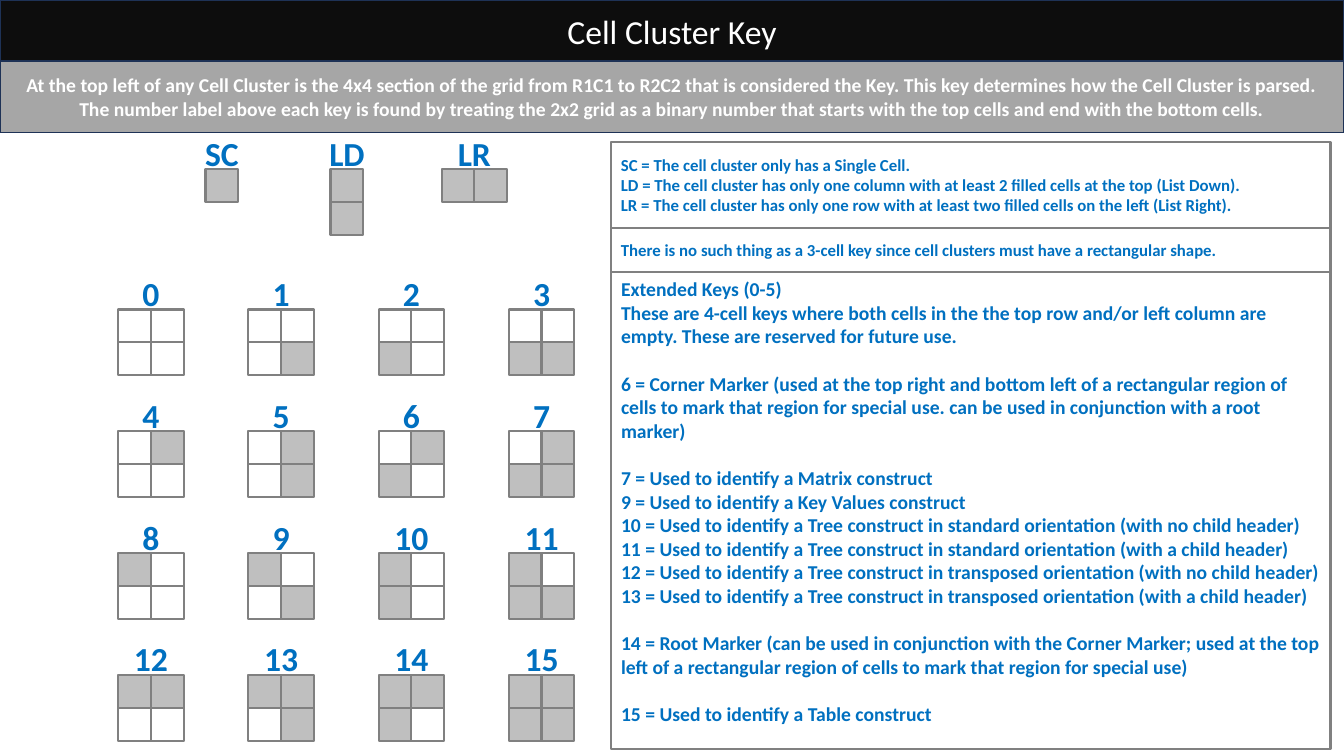
from pptx import Presentation
from pptx.dml.color import RGBColor
from pptx.enum.shapes import MSO_SHAPE as Geo
from pptx.enum.text import MSO_ANCHOR as Anchor, MSO_AUTO_SIZE as Fit, PP_ALIGN as Align
from pptx.util import Pt

BLUE, GRAY, FILL, WHITE, NAVY = "0070C0", "808080", "BFBFBF", "FFFFFF", "1E3256"
CELL = 23.45
TITLE = "Cell Cluster Key"
INTRO = [
    "At the top left of any Cell Cluster is the 4x4 section of the grid from R1C1 to R2C2 "
    "that is considered the Key. This key determines how the Cell Cluster is parsed.",
    "The number label above each key is found by treating the 2x2 grid as a binary number "
    "that starts with the top cells and end with the bottom cells.",
]
SHORT = [
    "SC = The cell cluster only has a Single Cell.",
    "LD = The cell cluster has only one column with at least 2 filled cells at the top (List Down).",
    "LR = The cell cluster has only one row with at least two filled cells on the left (List Right).",
]
NOTE = "There is no such thing as a 3-cell key since cell clusters must have a rectangular shape."
LONG = [
    ["Extended Keys (0-5)",
     "These are 4-cell keys where both cells in the the top row and/or left column are empty. "
     "These are reserved for future use."],
    ["6 = Corner Marker (used at the top right and bottom left of a rectangular region of cells "
     "to mark that region for special use. can be used in conjunction with a root marker)"],
    ["7 = Used to identify a Matrix construct",
     "9 = Used to identify a Key Values construct",
     "10 = Used to identify a Tree construct in standard orientation (with no child header)",
     "11 = Used to identify a Tree construct in standard orientation (with a child header)",
     "12 = Used to identify a Tree construct in transposed orientation (with no child header)",
     "13 = Used to identify a Tree construct in transposed orientation (with a child header)"],
    ["14 = Root Marker (can be used in conjunction with the Corner Marker; used at the top left "
     "of a rectangular region of cells to mark that region for special use)"],
    ["15 = Used to identify a Table construct"],
]


def paint(part, tone):
    """Give a fill, line or font a solid hex colour."""
    if hasattr(part, "solid"):
        part.solid()
        part = part.fore_color
    else:
        part = part.color
    part.rgb = RGBColor.from_string(tone)


def place(shape, box):
    """Move a shape to a box given in points."""
    for name, val in zip(("left", "top", "width", "height"), box):
        setattr(shape, name, Pt(val))


def dress(shape, fill, edge=None, wide=1.5):
    """Set the fill and outline of a shape."""
    paint(shape.fill, fill)
    if edge:
        paint(shape.line, edge)
        shape.line.width = Pt(wide)
    else:
        shape.line.fill.background()


def rect(shapes, box, fill, edge=None, wide=1.5):
    """Add a flat rectangle."""
    shape = shapes.add_shape(Geo.RECTANGLE, *map(Pt, box))
    shape.shadow.inherit = False
    dress(shape, fill, edge, wide)
    return shape


def write(shape, groups, size, tone, bold=True, align=Align.LEFT, anchor=Anchor.MIDDLE):
    """Write groups of paragraphs with a line of space between groups."""
    frame = shape.text_frame
    form = {"word_wrap": True, "auto_size": Fit.NONE, "vertical_anchor": anchor}
    for name, val in form.items():
        setattr(frame, name, val)
    lines = [(text, g > 0 and i == 0) for g, group in enumerate(groups)
             for i, text in enumerate(group)]
    for n, (text, gap) in enumerate(lines):
        para = frame.add_paragraph() if n else frame.paragraphs[0]
        form = {"alignment": align, "space_before": Pt(size * 1.22 if gap else 0)}
        for name, val in form.items():
            setattr(para, name, val)
        run = para.add_run()
        run.text = text
        for name, val in {"name": "Calibri", "size": Pt(size), "bold": bold}.items():
            setattr(run.font, name, val)
        paint(run.font, tone)


def plain(shape):
    """Remove the bullets and indents of a list."""
    for para in shape.text_frame.paragraphs:
        props = para._p.get_or_add_pPr()
        for name in ("marL", "indent"):
            props.set(name, "0")
        tag = "{http://schemas.openxmlformats.org/drawingml/2006/main}buNone"
        props.append(props.makeelement(tag, {}))


def header(slide, x, y, w):
    """Build the title bar and the banner below it."""
    title = slide.shapes.title
    place(title, (x, y, w, 43.9))
    dress(title, "0D0D0D", NAVY, 1)
    write(title, [[TITLE]], 24, WHITE, False, Align.CENTER)
    intro = rect(slide.shapes, (x, y + 43.5, w, 51), "A6A6A6", NAVY, 1)
    write(intro, [INTRO], 14, WHITE, align=Align.CENTER)


def key(slide, label, rows, x, y):
    """Build one key: its label centred above rows of cells."""
    mid = x + len(rows[0]) * CELL / 2
    tag = rect(slide.shapes, (mid - 23.4, y - CELL, 46.8, CELL), WHITE)
    write(tag, [[label]], 24, BLUE, align=Align.CENTER)
    tag.text_frame.word_wrap = False
    shapes = slide.shapes.add_group_shape().shapes
    for r, row in enumerate(rows):
        for c, bit in enumerate(row):
            box = (x + c * CELL, y + r * CELL, CELL, CELL)
            rect(shapes, box, FILL if bit == "1" else WHITE, GRAY)


def keys(slide, x, y):
    """Build the named keys and the grid of numbered keys."""
    for label, rows, left in (("SC", ["1"], 62.4), ("LD", ["1", "1"], 151.7),
                              ("LR", ["11"], 231)):
        key(slide, label, rows, x + left, y)
    for num in range(16):
        row, col = divmod(num, 4)
        bits = f"{num:04b}"
        key(slide, str(num), [bits[:2], bits[2:]], x + col * 93, y + 100.3 + row * 87)


def legend(slide, x, y, w):
    """Build the three stacked panels that explain the keys."""
    body = slide.placeholders[1]
    place(body, (x, y + 92.9, w, 340.6))
    dress(body, WHITE, GRAY)
    write(body, LONG, 14, BLUE, anchor=Anchor.TOP)
    plain(body)
    for lines, top, high in ((SHORT, 0, 61.2), ([NOTE], 61.2, 31.7)):
        panel = rect(slide.shapes, (x, y + top, w, high), WHITE, GRAY)
        write(panel, [lines], 12, BLUE)


def main():
    """Build the slide and save it."""
    deck = Presentation()
    deck.slide_width, deck.slide_height = Pt(960), Pt(540)
    slide = deck.slides.add_slide(deck.slide_layouts[1])
    header(slide, 0, 0, 960)
    keys(slide, 84.4, 120.8)
    legend(slide, 436.4, 101.5, 514)
    deck.save("out.pptx")


if __name__ == "__main__":
    main()
